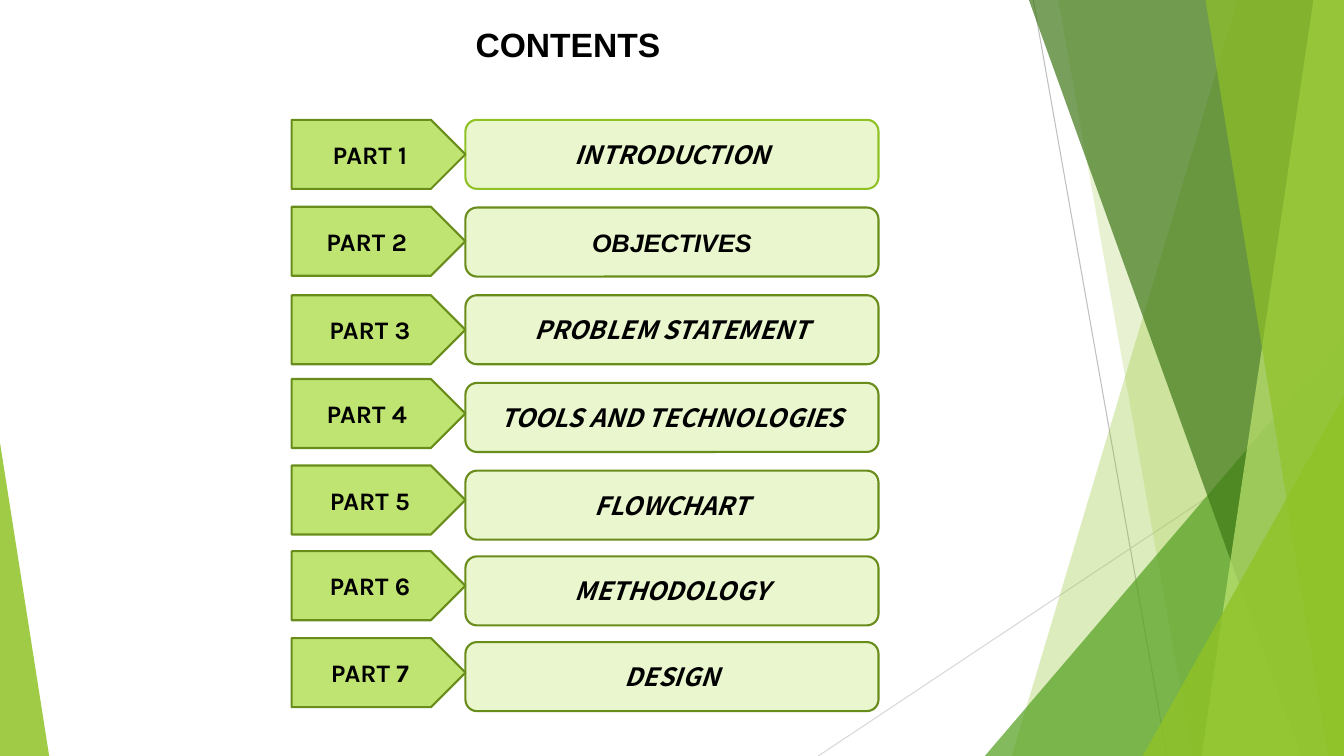
import pptx
import pptx.util
import pptx.dml.color
import pptx.enum.shapes
import pptx.enum.text
import pptx.oxml
import pptx.oxml.ns
from pptx.util import Cm

SHAPES = pptx.enum.shapes.MSO_SHAPE
ALIGN = pptx.enum.text.PP_ALIGN
ANCHOR = pptx.enum.text.MSO_ANCHOR
PAGE_WIDTH, PAGE_HEIGHT = 33.87, 19.05


def color(value):
    return pptx.dml.color.RGBColor.from_string(value)


def write(frame, text, font="Arial", size=18, italic=False, align=ALIGN.CENTER, anchor=ANCHOR.MIDDLE):
    frame.word_wrap = True
    frame.vertical_anchor = anchor
    frame.text = text
    paragraph = frame.paragraphs[0]
    paragraph.alignment = align
    run_font = paragraph.runs[0].font
    run_font.name = font
    run_font.size = pptx.util.Pt(size)
    run_font.bold = True
    run_font.italic = italic
    run_font.color.rgb = color("000000")


presentation = pptx.Presentation()
presentation.slide_width = Cm(PAGE_WIDTH)
presentation.slide_height = Cm(PAGE_HEIGHT)
slide = presentation.slides.add_slide(presentation.slide_layouts[5])

rays = [
    (26.04, 0, 29.41, PAGE_HEIGHT, "BFBFBF"),
    (PAGE_WIDTH, 10.24, 20.62, PAGE_HEIGHT, "D8D8D8"),
]
for start_x, start_y, end_x, end_y, tint in rays:
    ray = slide.shapes.add_connector(
        pptx.enum.shapes.MSO_CONNECTOR.STRAIGHT, Cm(start_x), Cm(start_y), Cm(end_x), Cm(end_y)
    )
    ray.line.color.rgb = color(tint)
    ray.line.width = pptx.util.Pt(0.75)
    pptx.oxml.ns.qn("a:effectLst")
    ray._element.spPr.append(
        pptx.oxml.parse_xml(f"<a:effectLst {pptx.oxml.ns.nsdecls('a')}/>")
    )

facets = [
    ("band", (31.19, 25.5), "90C226", 30),
    ("band", (26.67, 30.05), "90C226", 20),
    ("corner", (24.82, 8.46, 9.05, 1), "54A021", 72),
    ("band", (25.93, 32.79), "3F7818", 70),
    ("band", (33.1, 30.28), "BFE471", 70),
    ("band", (30.38, 33.48), "90C226", 65),
    ("corner", (28.8, 9.98, 5.07, 1), "90C226", 80),
    ("corner", (0, 11.15, 1.24, 0), "90C226", 85),
]
for kind, geometry, tint, opacity in facets:
    if kind == "band":
        top_x, bottom_x = geometry
        outline = slide.shapes.build_freeform(Cm(top_x), Cm(0))
        outline.add_line_segments([
            (Cm(PAGE_WIDTH), Cm(0)),
            (Cm(PAGE_WIDTH), Cm(PAGE_HEIGHT)),
            (Cm(bottom_x), Cm(PAGE_HEIGHT)),
        ])
        facet = outline.convert_to_shape()
    else:
        left, top, width, apex = geometry
        facet = slide.shapes.add_shape(
            SHAPES.ISOSCELES_TRIANGLE, Cm(left), Cm(top), Cm(width), Cm(PAGE_HEIGHT - top)
        )
        facet.adjustments[0] = apex
    facet.shadow.inherit = False
    facet.line.fill.background()
    facet.fill.solid()
    facet.fill.fore_color.rgb = color(tint)
    facet._element.spPr.find(".//" + pptx.oxml.ns.qn("a:srgbClr")).append(
        pptx.oxml.parse_xml(f"<a:alpha {pptx.oxml.ns.nsdecls('a')} val='{opacity * 1000}'/>")
    )

heading = slide.shapes.title
heading.left, heading.top, heading.width, heading.height = Cm(11.73), Cm(0.48), Cm(16.94), Cm(1.27)
write(heading.text_frame, "CONTENTS", size=24, align=ALIGN.LEFT, anchor=ANCHOR.TOP)
heading.text_frame.auto_size = pptx.enum.text.MSO_AUTO_SIZE.SHAPE_TO_FIT_TEXT

NOTO = "Noto Sans CJK SC"
parts = [
    ("PART 1", 3.02, "INTRODUCTION", 3.02, NOTO, "90C226"),
    ("PART 2 ", 5.21, "OBJECTIVES", 5.23, "Arial", "698D1B"),
    ("PART 3", 7.44, "PROBLEM STATEMENT", 7.44, NOTO, "698D1B"),
    ("PART 4 ", 9.55, "TOOLS AND TECHNOLOGIES", 9.65, NOTO, "698D1B"),
    ("PART 5", 11.73, "FLOWCHART", 11.86, NOTO, "698D1B"),
    ("PART 6", 13.89, "METHODOLOGY", 14.02, NOTO, "698D1B"),
    ("PART 7", 16.08, "DESIGN", 16.18, NOTO, "698D1B"),
]
for part, part_top, topic, topic_top, topic_font, topic_edge in parts:
    panels = [
        (SHAPES.ROUNDED_RECTANGLE, 11.73, topic_top, 10.41, "E9F6CE", topic_edge, topic, topic_font, True),
        (SHAPES.PENTAGON, 7.35, part_top, 4.38, "BFE471", "698D1B", part, "Karla", False),
    ]
    for preset, left, top, width, tint, edge, text, font, italic in panels:
        panel = slide.shapes.add_shape(preset, Cm(left), Cm(top), Cm(width), Cm(1.74))
        panel.shadow.inherit = False
        panel.fill.solid()
        panel.fill.fore_color.rgb = color(tint)
        panel.line.color.rgb = color(edge)
        panel.line.width = pptx.util.Pt(1.5)
        write(panel.text_frame, text, font=font, italic=italic)

presentation.save("out.pptx")
